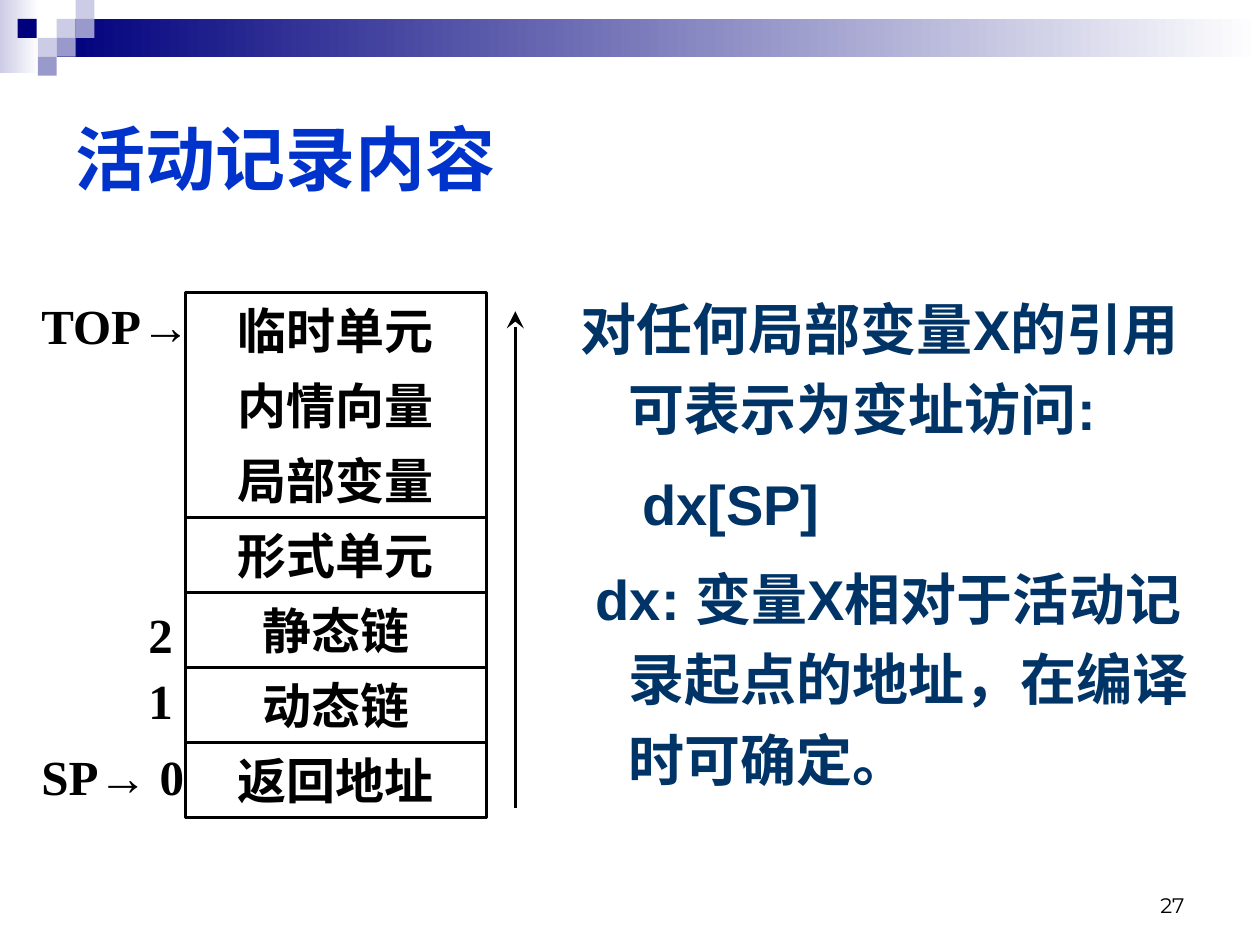
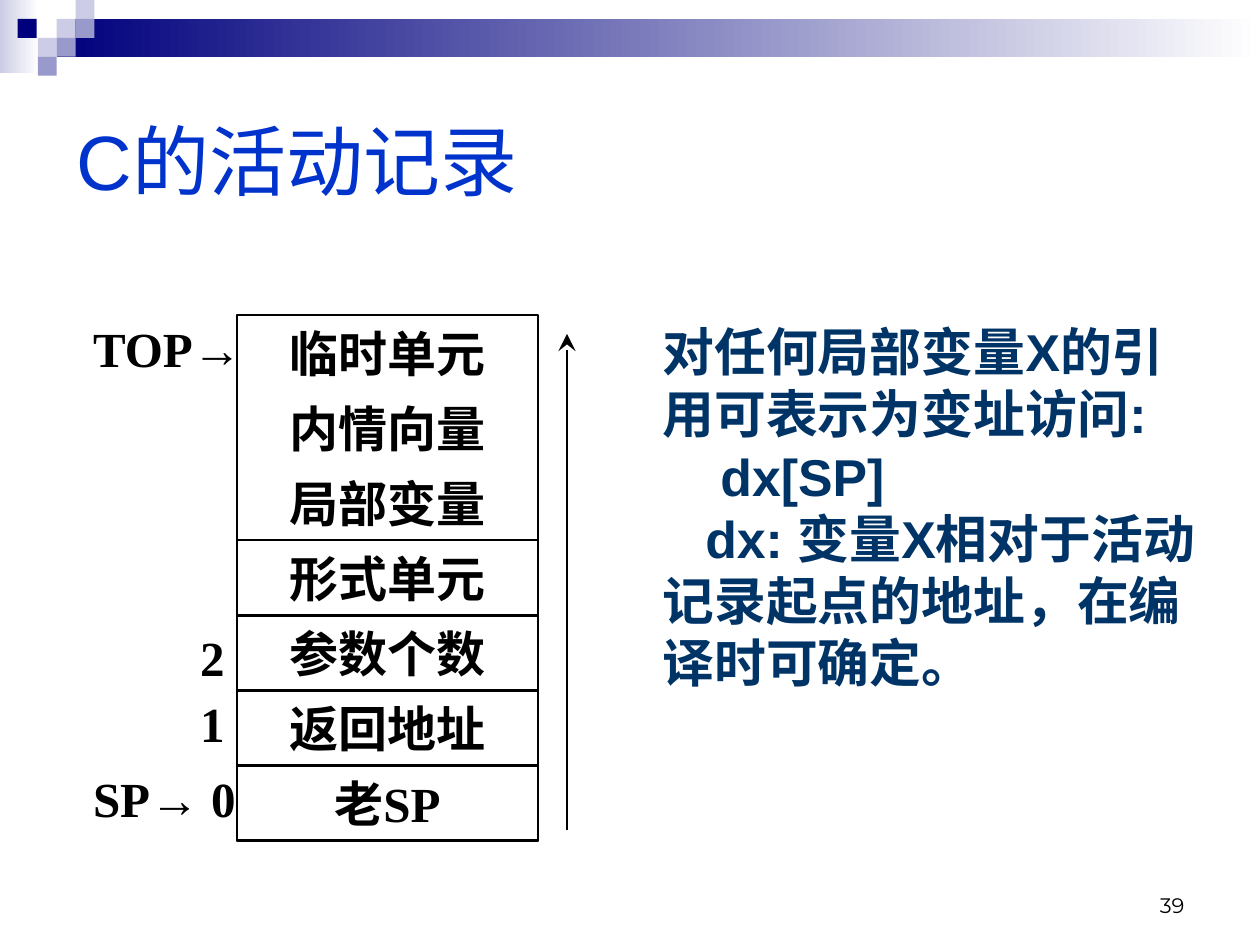
import pptx
import pptx.util
import pptx.dml.color
import pptx.enum.shapes
import pptx.enum.text
import pptx.oxml.ns
from lxml import etree

Inches = pptx.util.Inches
Pt = pptx.util.Pt
RGBColor = pptx.dml.color.RGBColor
KIND = pptx.enum.shapes.MSO_SHAPE.RECTANGLE
LINE = pptx.enum.shapes.MSO_CONNECTOR.STRAIGHT
ALIGN = pptx.enum.text.PP_ALIGN
ANCHOR = pptx.enum.text.MSO_ANCHOR
qn = pptx.oxml.ns.qn

BLACK = RGBColor(0x00, 0x00, 0x00)
WHITE = RGBColor(0xFF, 0xFF, 0xFF)
BLUE = RGBColor(0x00, 0x33, 0xCC)
TEAL = RGBColor(0x00, 0x33, 0x66)
NAVY = RGBColor(0x00, 0x00, 0x7D)
LILAC = RGBColor(0xCC, 0xCC, 0xE6)
MAUVE = RGBColor(0x99, 0x99, 0xCC)

SERIF = "Times New Roman"
SANS = "Arial"
CELL = {"size": Pt(28), "name": SERIF, "bold": True}
PAGE = {"size": Pt(12), "name": "Montserrat", "bold": False}

BANDS = [(0, 0, 0.31, 0.58, LILAC), (0.45, 0.15, 9.55, 0.3, NAVY)]
TILES = [
    (0.45, 0.15, LILAC), (0.6, 0, LILAC), (0.6, 0.15, MAUVE),
    (0.3, 0.3, LILAC), (0.14, 0.15, NAVY), (0.45, 0.3, MAUVE),
    (0.3, 0.45, MAUVE),
]
SIDE = 0.15

CALL = "对任何局部变量X的引用可表示为变址访问:"
FORM = "dx[SP]"
NOTE = "dx: 变量X相对于活动记录起点的地址，在编译时可确定。"
PARTS = ["临时单元", "内情向量", "局部变量", "形式单元"]
LOOSE = 3
WIDE, TALL = 2.39, 4.17
STEP = TALL / 7

MARKS = [
    (0, -1.24, 0, 1.6, ALIGN.LEFT, [("TOP", SERIF), ("→ ", SANS)]),
    (4, -0.63, 0.07, 0.63, ALIGN.RIGHT, [("2", SERIF)]),
    (5, -0.63, 0, 0.63, ALIGN.RIGHT, [("1", SERIF)]),
    (6, -1.24, 0, 1.6, ALIGN.LEFT,
     [("SP", SERIF), ("→", SANS), (" 0", SERIF)]),
]

SLIDES = [
    {
        "title": "活动记录内容", "spot": (0.5, 0.5),
        "head": {"size": Pt(40), "bold": True},
        "stack": (1.47, 2.32), "cells": PARTS + ["静态链", "动态链", "返回地址"],
        "box": (4.51, 2.18, 5.14, 5), "size": 32,
        "text": [(CALL, 0.38, -0.38), (FORM, 0.38, 0.11), (NOTE, 0.38, -0.26)],
        "lead": 1.2, "gap": 8, "page": "27",
    },
    {
        "title": "C的活动记录", "spot": (0.51, 0.52),
        "head": {"size": Pt(44), "bold": False},
        "stack": (1.88, 2.5), "cells": PARTS + ["参数个数", "返回地址", "老SP"],
        "box": (5.16, 2.49, 4.5, 4.25), "size": 29.6,
        "text": [(CALL, 0, 0), (FORM, 0, 0.46), (NOTE, 0, 0.34)],
        "lead": 1, "gap": 0, "page": "39",
    },
]


def apply(item, form):
    for key, value in form.items():
        setattr(item, key, value)


def style(font, form, tint=BLACK):
    apply(font, form)
    font.color.rgb = tint


def block(slide, *area):
    shape = slide.shapes.add_shape(KIND, *map(Inches, area))
    shape.shadow.inherit = False
    return shape


def frame(slide, *area):
    shape = block(slide, *area)
    shape.fill.background()
    shape.line.color.rgb = BLACK
    shape.line.width = Pt(1.5)
    return shape


def label(slide, *area):
    return slide.shapes.add_textbox(*map(Inches, area))


def write(shape, runs, form, align, anchor=ANCHOR.MIDDLE, wrap=False):
    apply(shape.text_frame, {"word_wrap": wrap, "vertical_anchor": anchor})
    para = shape.text_frame.paragraphs[0]
    para.alignment = align
    for text, face in runs:
        run = para.add_run()
        run.text = text
        style(run.font, {**form, "name": face})


def add_bands(slide):
    for *area, tint in BANDS:
        band = block(slide, *area)
        band.line.fill.background()
        band.fill.gradient()
        band.fill.gradient_angle = 0
        for stop, shade in zip(band.fill.gradient_stops, (tint, WHITE)):
            stop.color.rgb = shade
    for left, top, tint in TILES:
        tile = block(slide, left, top, SIDE, SIDE)
        tile.line.fill.background()
        tile.fill.solid()
        tile.fill.fore_color.rgb = tint


def add_title(slide, data):
    title = slide.shapes.title
    left, top = map(Inches, data["spot"])
    apply(title, {"left": left, "top": top, "width": Inches(9),
                  "height": Inches(1.5), "text": data["title"]})
    title.text_frame.vertical_anchor = ANCHOR.MIDDLE
    para = title.text_frame.paragraphs[0]
    para.alignment = ALIGN.LEFT
    style(para.runs[0].font, {**data["head"], "name": SANS}, BLUE)


def add_stack(slide, data):
    left, top = data["stack"]
    frame(slide, left, top, WIDE, TALL)
    for row, text in enumerate(data["cells"]):
        make = label if row < LOOSE else frame
        cell = make(slide, left, top + row * STEP, WIDE, STEP)
        write(cell, [(text, SERIF)], CELL, ALIGN.CENTER)
    for row, shift, drop, width, align, runs in MARKS:
        mark = label(slide, left + shift, top + row * STEP + drop, width, 0.52)
        write(mark, runs, CELL, align, wrap=True)
    add_arrow(slide, left + 2.62, top + 4.09, top + 0.15)


def add_arrow(slide, left, start, end):
    ends = map(Inches, (left, start, left, end))
    arrow = slide.shapes.add_connector(LINE, *ends)
    arrow.line.color.rgb = BLACK
    arrow.line.width = Pt(1.5)
    props = arrow.line._get_or_add_ln()
    etree.SubElement(props, qn("a:tailEnd"), type="stealth", w="lg", len="lg")
    etree.SubElement(props.getparent(), qn("a:effectLst"))


def add_text(slide, data):
    body = label(slide, *data["box"]).text_frame
    body.word_wrap = True
    for rank, (text, edge, first) in enumerate(data["text"]):
        para = body.add_paragraph() if rank else body.paragraphs[0]
        props = para._p.get_or_add_pPr()
        props.set("marL", str(Inches(edge)))
        props.set("indent", str(Inches(first)))
        apply(para, {"line_spacing": data["lead"],
                     "space_before": Pt(data["gap"] if rank else 0)})
        run = para.add_run()
        run.text = text
        form = {"size": Pt(data["size"]), "name": SANS, "bold": True}
        style(run.font, form, TEAL)


def main():
    deck = pptx.Presentation()
    apply(deck, {"slide_width": Inches(10), "slide_height": Inches(7.5)})
    for data in SLIDES:
        slide = deck.slides.add_slide(deck.slide_layouts[5])
        add_bands(slide)
        add_title(slide, data)
        add_text(slide, data)
        add_stack(slide, data)
        write(label(slide, 7.17, 6.83, 2.33, 0.5),
              [(data["page"], PAGE["name"])], PAGE, ALIGN.RIGHT,
              ANCHOR.BOTTOM, True)
    deck.save("out.pptx")


if __name__ == "__main__":
    main()
